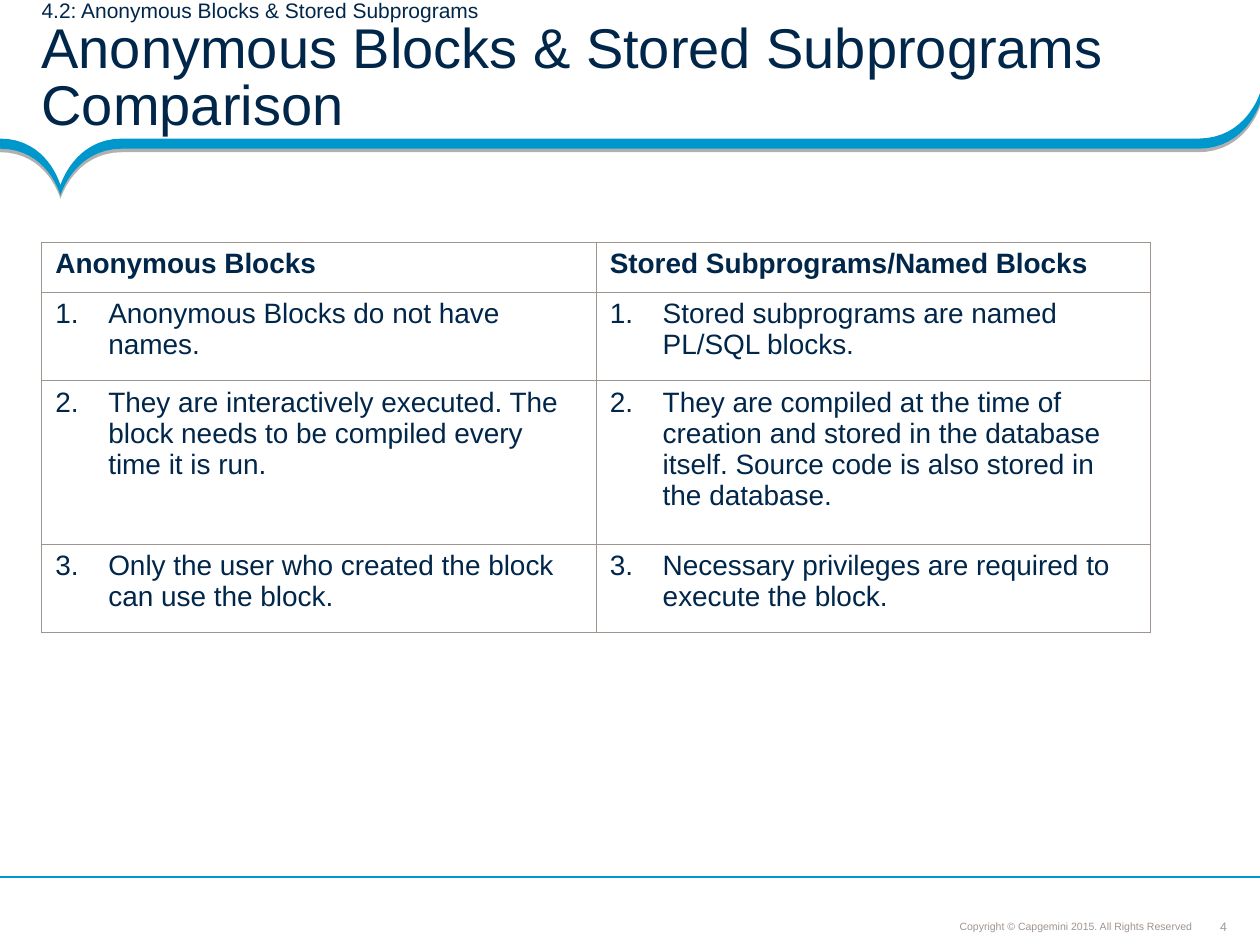
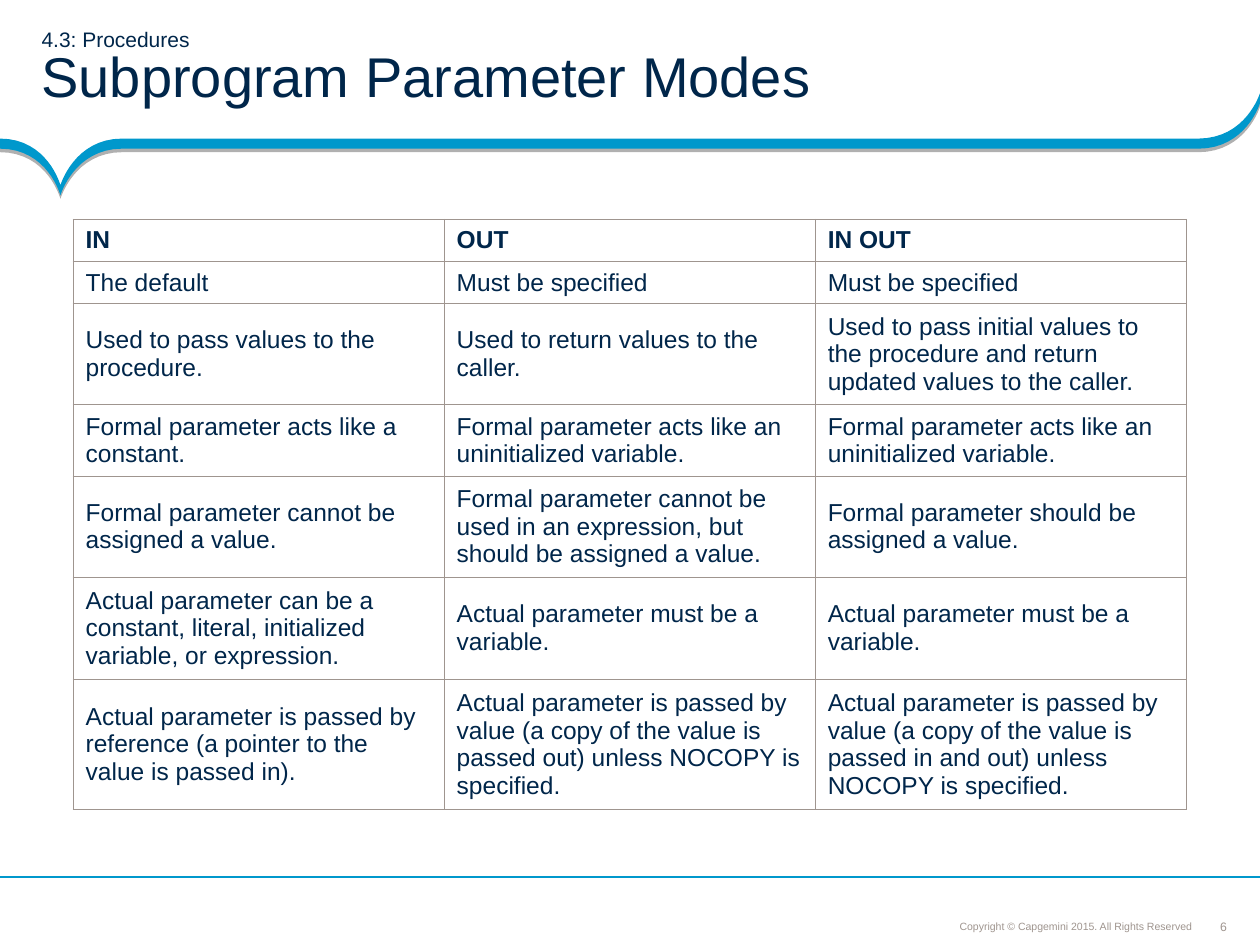
"""Build two PL/SQL slides comparing block kinds and parameter modes."""
from lxml.etree import SubElement
from pptx import Presentation
from pptx.dml.color import RGBColor
from pptx.enum.shapes import MSO_CONNECTOR
from pptx.enum.text import MSO_ANCHOR as ANCHOR, PP_ALIGN as ALIGN
from pptx.oxml.ns import qn
from pptx.util import Inches, Pt

NAVY = RGBColor(0x00, 0x26, 0x4A)
BLUE = RGBColor(0x00, 0x98, 0xCC)
GREY = RGBColor(0x9F, 0x95, 0x8F)
FONT = "Arial"
CURVE_STEPS = 16
BAND_THICKNESS = 0.08
BAND_CURVES = [
    [(0, 1.1), (0.38, 1.1), (0.48, 1.47), (0.48, 1.47)],
    [(0.48, 1.47), (0.48, 1.47), (0.59, 1.1), (0.97, 1.1)],
    [(9.51, 1.1), (9.89, 1.1), (10, 0.74), (10, 0.74)],
]
COPYRIGHT = "Copyright © Capgemini 2015. All Rights Reserved"

PAGES = [
    {
        "number": "4",
        "section": "4.2: Anonymous Blocks & Stored Subprograms",
        "title": "Anonymous Blocks & Stored Subprograms Comparison",
        "place": (0.33, 1.92), "column": 4.4, "heights": [0.4, 0.7, 1.3, 0.7],
        "size": 16, "inset": 0.11, "anchor": ANCHOR.TOP, "numbered": True,
        "rows": [
            ["Anonymous Blocks", "Stored Subprograms/Named Blocks"],
            ["Anonymous Blocks do not have names.",
             "Stored subprograms are named PL/SQL blocks."],
            ["They are interactively executed. The block needs to be compiled every time it is run.",
             "They are compiled at the time of creation and stored in the database itself. "
             "Source code is also stored in the database."],
            ["Only the user who created the block can use the block.",
             "Necessary privileges are required to execute the block."],
        ],
    },
    {
        "number": "6",
        "section": "4.3: Procedures",
        "title": "Subprogram Parameter Modes",
        "place": (0.58, 1.74), "column": 2.945,
        "heights": [0.335, 0.335, 0.8, 0.57, 0.8, 0.81, 1.03],
        "size": 14, "inset": 0.1, "anchor": ANCHOR.MIDDLE, "numbered": False,
        "rows": [
            ["IN", "OUT", "IN OUT"],
            ["The default", "Must be specified", "Must be specified"],
            ["Used to pass values to the procedure.",
             "Used to return values to the caller.",
             "Used to pass initial values to the procedure and return updated values to the caller."],
            ["Formal parameter acts like a constant.",
             "Formal parameter acts like an uninitialized variable.",
             "Formal parameter acts like an uninitialized variable."],
            ["Formal parameter cannot be assigned a value.",
             "Formal parameter cannot be used in an expression, but should be assigned a value.",
             "Formal parameter should be assigned a value."],
            ["Actual parameter can be a constant, literal, initialized variable, or expression.",
             "Actual parameter must be a variable.",
             "Actual parameter must be a variable."],
            ["Actual parameter is passed by reference (a pointer to the value is passed in).",
             "Actual parameter is passed by value (a copy of the value is passed out) "
             "unless NOCOPY is specified.",
             "Actual parameter is passed by value (a copy of the value is passed in and out) "
             "unless NOCOPY is specified."],
        ],
    },
]


def write(paragraph, text, size, color, bold=False):
    run = paragraph.add_run()
    run.text = text
    for name, value in {"name": FONT, "size": Pt(size), "bold": bold}.items():
        setattr(run.font, name, value)
    run.font.color.rgb = color


def add_text(slide, place, insets, anchor, lines, color, align, spacing, wrap=True):
    frame = slide.shapes.add_textbox(*map(Inches, place)).text_frame
    layout = {"word_wrap": wrap, "vertical_anchor": anchor}
    sides = ("margin_left", "margin_top", "margin_right", "margin_bottom")
    layout.update(zip(sides, map(Inches, insets)))
    for name, value in layout.items():
        setattr(frame, name, value)
    for index, (text, size) in enumerate(lines):
        paragraph = frame.add_paragraph() if index else frame.paragraphs[0]
        paragraph.alignment = align
        paragraph.line_spacing = spacing
        write(paragraph, text, size, color)


band_top = []
for curve in BAND_CURVES:
    for step in range(CURVE_STEPS + 1):
        t = step / CURVE_STEPS
        weights = ((1 - t) ** 3, 3 * t * (1 - t) ** 2, 3 * t ** 2 * (1 - t), t ** 3)
        band_top.append(tuple(sum(w * point[axis] for w, point in zip(weights, curve))
                              for axis in (0, 1)))
band_bottom = [(x, y + BAND_THICKNESS) for x, y in reversed(band_top)]
band_outline = [(Inches(x), Inches(y)) for x, y in band_top + band_bottom]

deck = Presentation()
deck.slide_width, deck.slide_height = Inches(10), Inches(7.5)

for page in PAGES:
    slide = deck.slides.add_slide(deck.slide_layouts[6])

    add_text(slide, (9.49, 7.29, 0.44, 0.12), (0, 0, 0, 0), ANCHOR.MIDDLE,
             [(page["number"], 7)], GREY, ALIGN.CENTER, 1.0, wrap=False)

    builder = slide.shapes.build_freeform(*band_outline[0], scale=1.0)
    builder.add_line_segments(band_outline[1:], close=True)
    band = builder.convert_to_shape()
    band.fill.solid()
    band.fill.fore_color.rgb = BLUE
    band.line.fill.background()
    band.shadow.inherit = False
    effects = band.element.spPr.find(qn("a:effectLst"))
    shadow = SubElement(effects, qn("a:outerShdw"), blurRad="0", dist=str(Pt(2)),
                        dir="5400000", algn="t", rotWithShape="0")
    shade = SubElement(shadow, qn("a:srgbClr"), val="000000")
    SubElement(shade, qn("a:alpha"), val="31000")

    add_text(slide, (6.81, 7.24, 2.69, 0.2), (0.04, 0.04, 0.04, 0.04), ANCHOR.BOTTOM,
             [(COPYRIGHT, 6)], GREY, ALIGN.RIGHT, 0.9)

    footer_rule = slide.shapes.add_connector(
        MSO_CONNECTOR.STRAIGHT, Inches(10), Inches(6.96), Inches(0), Inches(6.96))
    footer_rule.line.color.rgb = BLUE
    footer_rule.line.width = Pt(0.75)
    SubElement(footer_rule.element.spPr, qn("a:effectLst"))

    add_text(slide, (0, 0, 10, 1.1), (0.33, 0.04, 0.18, 0.04), ANCHOR.MIDDLE,
             [(page["section"], 12), (page["title"], 32)], NAVY, ALIGN.LEFT, 0.85)

    rows, heights = page["rows"], page["heights"]
    column_count = len(rows[0])
    size = (page["column"] * column_count, sum(heights))
    comparison = slide.shapes.add_table(
        len(rows), column_count, *map(Inches, page["place"] + size)).table
    comparison.first_row = comparison.horz_banding = False
    for column in comparison.columns:
        column.width = Inches(page["column"])
    cell_format = {
        "margin_left": Inches(page["inset"]), "margin_right": Inches(page["inset"]),
        "margin_top": Inches(0.05), "margin_bottom": Inches(0.05),
        "vertical_anchor": page["anchor"],
    }
    for r, texts in enumerate(rows):
        comparison.rows[r].height = Inches(heights[r])
        for c, text in enumerate(texts):
            cell = comparison.cell(r, c)
            for name, value in cell_format.items():
                setattr(cell, name, value)
            properties = cell._tc.get_or_add_tcPr()
            for side in ("a:lnL", "a:lnR", "a:lnT", "a:lnB"):
                border = SubElement(properties, qn(side), w=str(Pt(0.45)))
                paint = SubElement(border, qn("a:solidFill"))
                SubElement(paint, qn("a:srgbClr"), val=str(GREY))
            cell.fill.background()
            paragraph = cell.text_frame.paragraphs[0]
            if page["numbered"] and r:
                numbering = paragraph._p.get_or_add_pPr()
                numbering.set("marL", str(Inches(0.42)))
                numbering.set("indent", str(-Inches(0.42)))
                tint = SubElement(numbering, qn("a:buClr"))
                SubElement(tint, qn("a:srgbClr"), val=str(NAVY))
                SubElement(numbering, qn("a:buFont"), typeface=FONT)
                SubElement(numbering, qn("a:buAutoNum"), type="arabicPeriod", startAt=str(r))
            write(paragraph, text, page["size"], NAVY, bold=r == 0)

deck.save("out.pptx")
